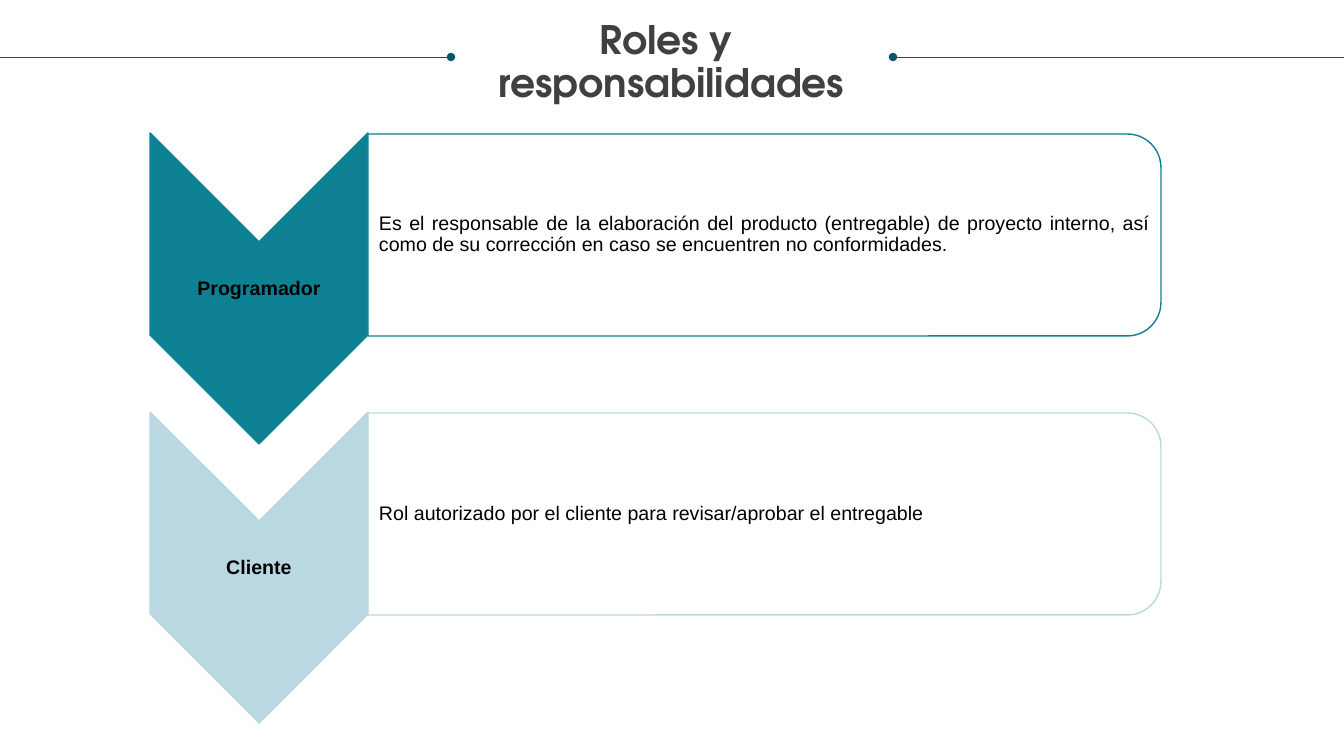
from lxml import etree
from pptx import Presentation
from pptx.dml.color import RGBColor
from pptx.enum.shapes import MSO_CONNECTOR, MSO_SHAPE
from pptx.enum.text import MSO_ANCHOR, MSO_AUTO_SIZE, PP_ALIGN
from pptx.oxml.ns import qn
from pptx.util import Emu, Pt

STRAIGHT = MSO_CONNECTOR.STRAIGHT
CHEVRON = MSO_SHAPE.CHEVRON
ROUNDED_END = MSO_SHAPE.ROUND_2_SAME_RECTANGLE
TOP, MIDDLE = MSO_ANCHOR.TOP, MSO_ANCHOR.MIDDLE
NO_AUTOFIT = MSO_AUTO_SIZE.NONE
LEFT, CENTER, JUSTIFY = PP_ALIGN.LEFT, PP_ALIGN.CENTER, PP_ALIGN.JUSTIFY

EMU_PER_PX = 12192000 / 1344
COLORS = {
    "heading": "404040",
    "rule": "085764",
    "programmer": "0D8193",
    "client": "B9D8E2",
    "panel": "FFFFFF",
    "text": "000000",
}
ROLES = [
    ("Programador", "programmer", JUSTIFY,
     "Es el responsable de la elaboración del producto (entregable) de proyecto "
     "interno, así como de su corrección en caso se encuentren no conformidades."),
    ("Cliente", "client", LEFT,
     "Rol autorizado por el cliente para revisar/aprobar el entregable"),
]
FIRST_ROW, ROW_PITCH = 133, 279


def px(length):
    return Emu(round(length * EMU_PER_PX))


def rgb(color):
    return RGBColor.from_string(COLORS[color])


class RoleSlide:
    heading_font = "TeX Gyre Adventor"
    body_font = "Arial"

    def __init__(self, presentation):
        self.slide = presentation.slides.add_slide(presentation.slide_layouts[5])

    def fill_frame(self, frame, lines, font, size, color, bold, align, anchor, insets):
        frame.word_wrap = True
        frame.auto_size = NO_AUTOFIT
        frame.vertical_anchor = anchor
        (frame.margin_left, frame.margin_top,
         frame.margin_right, frame.margin_bottom) = map(px, insets)
        frame.text = "\n".join(lines)
        for paragraph in frame.paragraphs:
            paragraph.alignment = align
            paragraph.line_spacing = 0.9
            paragraph.font.name = font
            paragraph.font.size = Pt(size)
            paragraph.font.bold = bold
            paragraph.font.color.rgb = rgb(color)

    def title(self, lines, left, top, width, height):
        heading = self.slide.shapes.title
        heading.left, heading.top = px(left), px(top)
        heading.width, heading.height = px(width), px(height)
        self.fill_frame(heading.text_frame, lines, self.heading_font, 28, "heading",
                        True, CENTER, TOP, (0, 0, 0, 0))

    def dotted_rule(self, edge, dot, y):
        rule = self.slide.shapes.add_connector(STRAIGHT, px(edge), px(y), px(dot), px(y))
        rule.line.color.rgb = rgb("rule")
        rule.line.width = Pt(0.5)
        etree.SubElement(rule.line._get_or_add_ln(), qn("a:tailEnd"), type="oval")
        etree.SubElement(rule._element.spPr, qn("a:effectLst"))

    def turned_shape(self, kind, left, top, width, height, fill, line, opacity=100):
        shift = (width - height) / 2
        shape = self.slide.shapes.add_shape(
            kind, px(left + shift), px(top - shift), px(height), px(width))
        shape.rotation = 90
        shape.shadow.inherit = False
        shape.fill.solid()
        shape.fill.fore_color.rgb = rgb(fill)
        shape.line.color.rgb = rgb(line)
        shape.line.width = Pt(1)
        if opacity < 100:
            tint = shape._element.spPr.find(qn("a:solidFill"))[0]
            etree.SubElement(tint, qn("a:alpha"), val=str(opacity * 1000))

    def text(self, content, left, top, width, height, align, bold=False, bullet=False):
        box = self.slide.shapes.add_textbox(px(left), px(top), px(width), px(height))
        frame = box.text_frame
        if bullet:
            properties = frame.paragraphs[0]._p.get_or_add_pPr()
            properties.set("marL", str(px(12)))
            properties.set("indent", str(px(-12)))
            etree.SubElement(properties, qn("a:buChar"), char="•")
        self.fill_frame(frame, [content], self.body_font, 14, "text", bold, align,
                        MIDDLE, (11 if bullet else 1, 1, 1, 1))

    def role(self, top, name, color, align, duty):
        self.turned_shape(CHEVRON, 150, top, 218, 311, color, color)
        self.text(name, 150, top + 110, 218, 93, CENTER, bold=True)
        self.turned_shape(ROUNDED_END, 368, top + 1, 793, 202, "panel", color, opacity=90)
        self.text(duty, 368, top + 11, 783, 182, align, bullet=True)


def main():
    presentation = Presentation()
    presentation.slide_width, presentation.slide_height = px(1344), px(756)
    page = RoleSlide(presentation)
    page.title(["Roles y ", "responsabilidades"], 25, 21, 1293, 171)
    for edge, dot in ((0, 451), (1344, 893)):
        page.dotted_rule(edge, dot, 57)
    for row, role in enumerate(ROLES):
        page.role(FIRST_ROW + row * ROW_PITCH, *role)
    presentation.save("out.pptx")


if __name__ == "__main__":
    main()
